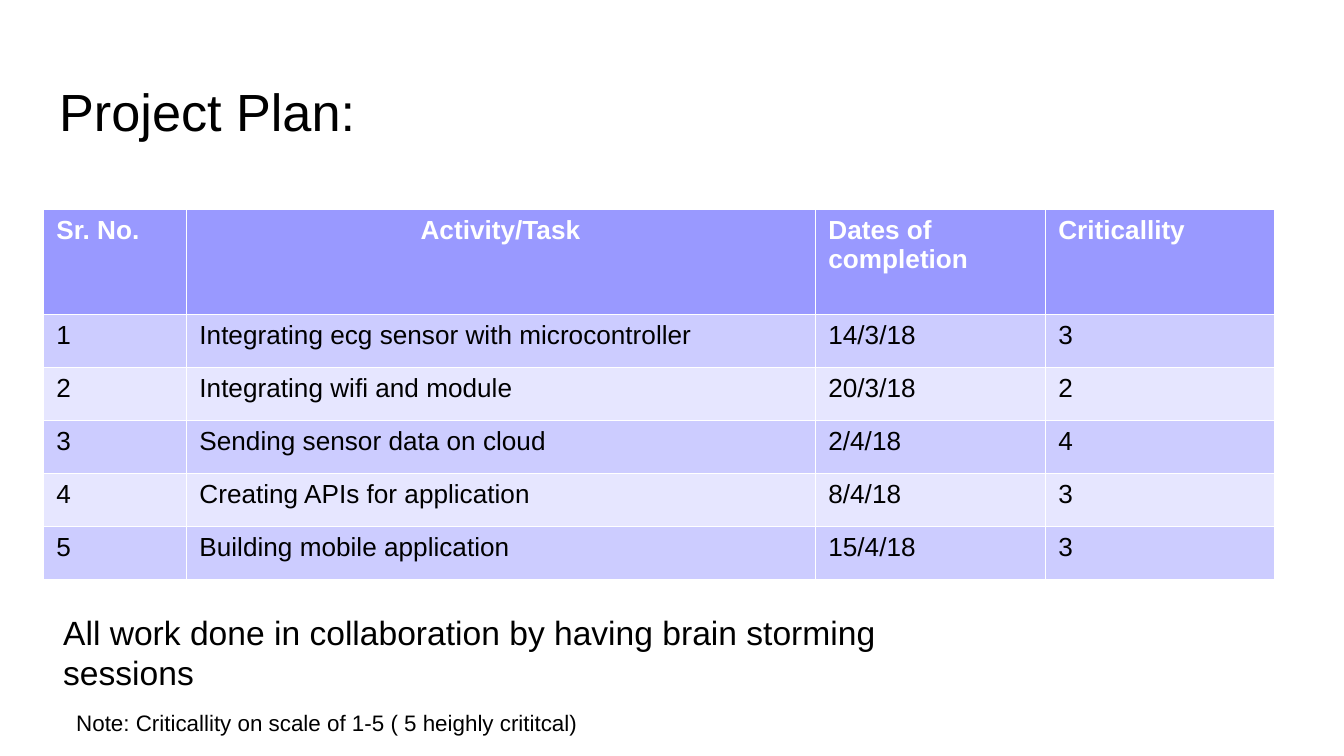
"""Build the project plan slide with its task table and notes."""
from lxml import etree
from pptx import Presentation
from pptx import util as u
from pptx.dml.color import RGBColor
from pptx.enum import text
from pptx.oxml import ns

FONT = "Arial"
BLACK = RGBColor(0x00, 0x00, 0x00)
WHITE = RGBColor(0xFF, 0xFF, 0xFF)
HEADER = RGBColor(0x99, 0x99, 0xFF)
BANDS = RGBColor(0xCC, 0xCC, 0xFF), RGBColor(0xE6, 0xE6, 0xFF)

PAGE_SIZE = 1344, 756
SCALE = u.Inches(10) / PAGE_SIZE[0]

TEXTS = [
    ("Project Plan:", (46, 66, 1252, 85), 28, 13),
    ("Note: Criticallity on scale of 1-5 ( 5 heighly crititcal)", (63, 702, 532, 39), 12, 7),
    ("All work done in collaboration by having brain storming sessions", (50, 605, 977, 51), 18, 7),
]

TABLE_ORIGIN = 43, 209
COLUMNS = [143, 629, 230, 229]
HEADER_HEIGHT, ROW_HEIGHT = 105, 53
ROWS = [
    ("Sr. No.", "Activity/Task", "Dates of completion", "Criticallity"),
    ("1", "Integrating ecg sensor with microcontroller", "14/3/18", "3"),
    ("2", "Integrating wifi and module", "20/3/18", "2"),
    ("3", "Sending sensor data on cloud", "2/4/18", "4"),
    ("4", "Creating APIs for application", "8/4/18", "3"),
    ("5", "Building mobile application", "15/4/18", "3"),
]


def px(length):
    return u.Emu(round(length * SCALE))


def write(frame, words, size, color=BLACK, bold=False, align=text.PP_ALIGN.LEFT):
    para = frame.paragraphs[0]
    para.alignment = align
    span = para.add_run()
    span.text = words
    span.font.name = FONT
    span.font.size = u.Pt(size)
    span.font.bold = bold
    span.font.color.rgb = color


def add_text(page, words, bounds, size, inset):
    box = page.shapes.add_textbox(*map(px, bounds))
    frame = box.text_frame
    frame.word_wrap = True
    frame.margin_left = frame.margin_right = u.Inches(0.1)
    frame.margin_top = frame.margin_bottom = px(inset)
    write(frame, words, size)


def set_borders(cell, color=WHITE, width=0.06):
    properties = cell._tc.get_or_add_tcPr()
    for index, side in enumerate(("lnL", "lnR", "lnT", "lnB")):
        line = etree.Element(ns.qn(f"a:{side}"), w=str(u.Pt(width)))
        fill = etree.SubElement(line, ns.qn("a:solidFill"))
        etree.SubElement(fill, ns.qn("a:srgbClr"), val=str(color))
        properties.insert(index, line)


def add_plan(page):
    heights = [HEADER_HEIGHT] + [ROW_HEIGHT] * (len(ROWS) - 1)
    bounds = (*TABLE_ORIGIN, sum(COLUMNS), sum(heights))
    table = page.shapes.add_table(len(ROWS), len(COLUMNS), *map(px, bounds)).table
    for column, width in zip(table.columns, COLUMNS):
        column.width = px(width)
    for r, (height, row) in enumerate(zip(heights, ROWS)):
        table.rows[r].height = px(height)
        is_header = r == 0
        for c, words in enumerate(row):
            cell = table.cell(r, c)
            cell.fill.solid()
            cell.fill.fore_color.rgb = HEADER if is_header else BANDS[(r - 1) % 2]
            set_borders(cell)
            centred = is_header and c == 1
            write(cell.text_frame, words, 14, bold=is_header,
                  color=WHITE if is_header else BLACK,
                  align=text.PP_ALIGN.CENTER if centred else text.PP_ALIGN.LEFT)


def main():
    deck = Presentation()
    deck.slide_width, deck.slide_height = map(px, PAGE_SIZE)
    page = deck.slides.add_slide(deck.slide_layouts[6])
    add_plan(page)
    for item in TEXTS:
        add_text(page, *item)
    deck.save("out.pptx")


if __name__ == "__main__":
    main()
